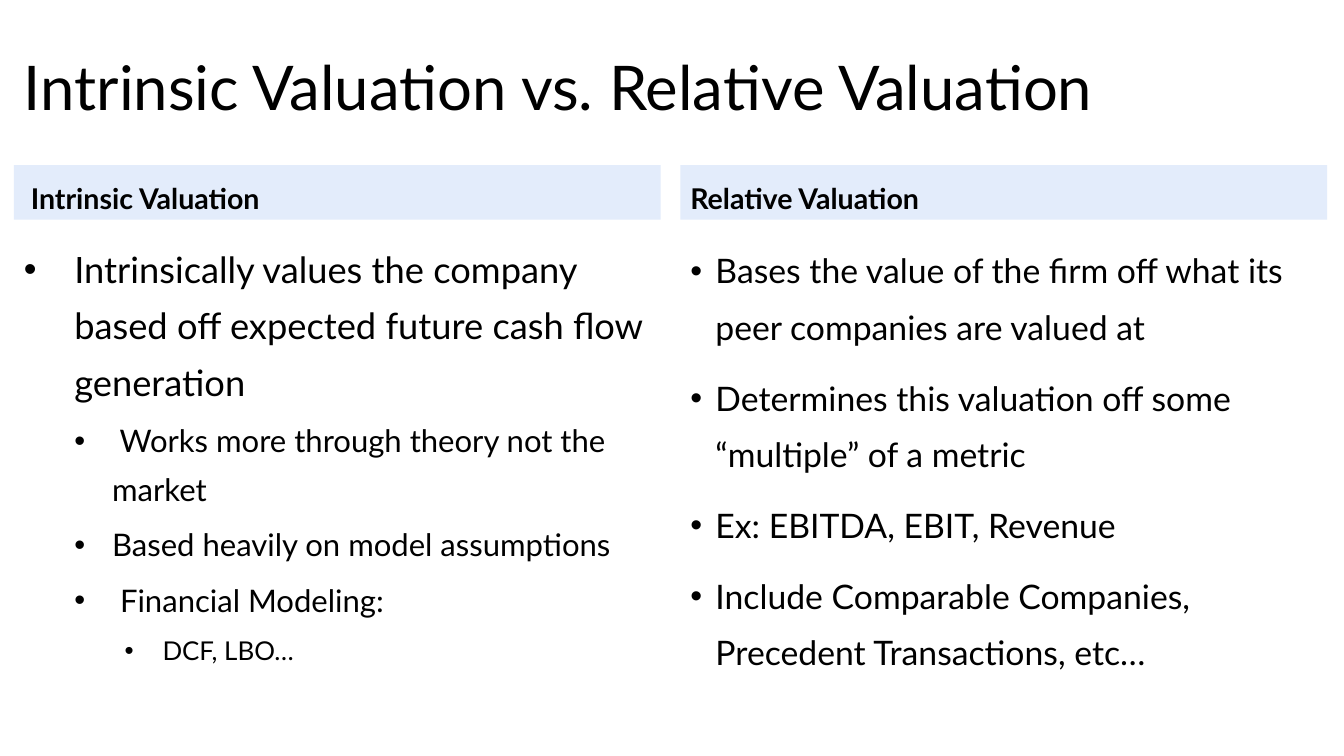
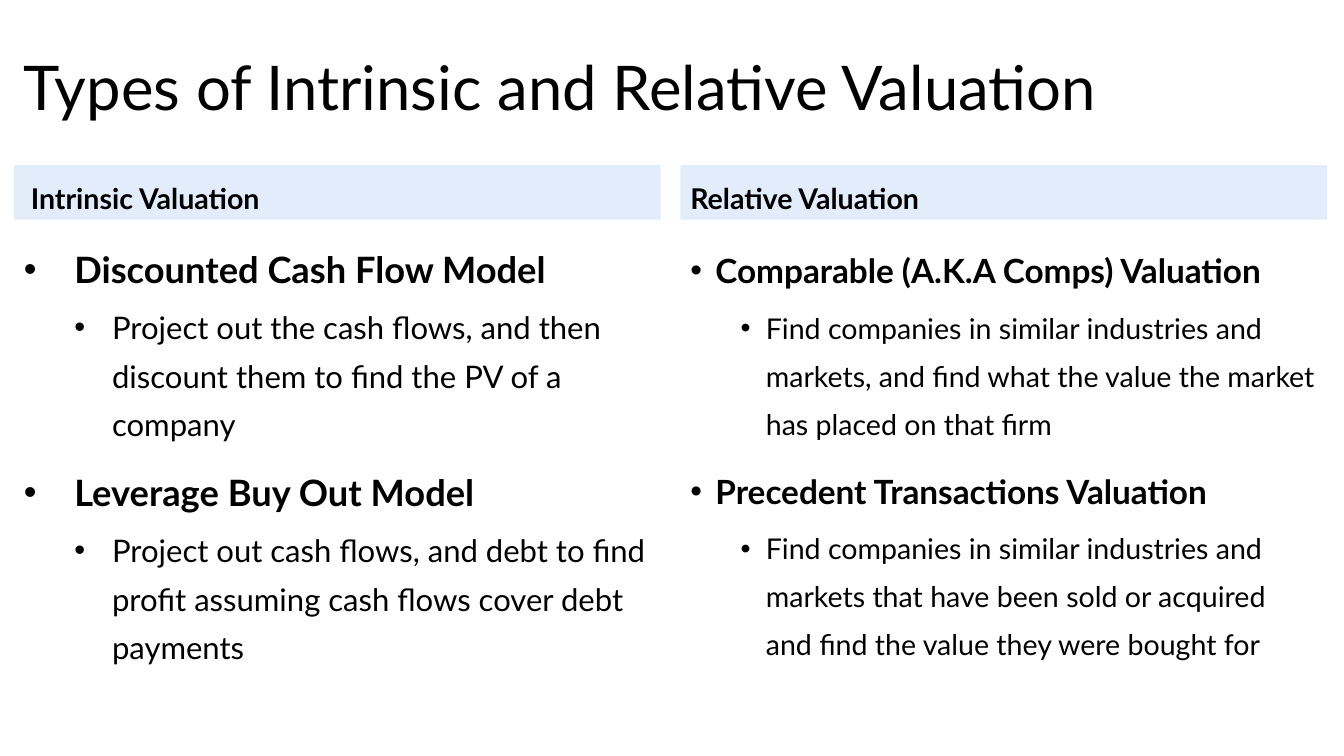
"""Build two slides that compare intrinsic and relative valuation."""
from lxml.etree import SubElement as Sub
from pptx import Presentation
from pptx.dml.color import RGBColor
from pptx.enum.shapes import MSO_SHAPE as Shape
from pptx.enum.text import MSO_ANCHOR as Anchor, PP_ALIGN as Align
from pptx.oxml.ns import qn
from pptx.util import Pt

BLACK = RGBColor(0x00, 0x00, 0x00)
WHITE = RGBColor(0xFF, 0xFF, 0xFF)
BLUE = RGBColor(0xE3, 0xEC, 0xFB)
FONT = "Lato"
LEFT, WIDTH, STEP = 10, 462, 476
HEADS = [" Intrinsic Valuation", "Relative Valuation"]
INDENTS = [[(36, 36), (63, 27), (99, 27)], [(18, 18), (54, 18)]]
LEADS = [1.3, 1.4]

SLIDES = [
    ("Intrinsic Valuation vs. Relative Valuation", False, [
        ([25.9, 22.2, 18.5], [
            (0, "Intrinsically values the company based off expected future cash flow generation"),
            (1, " Works more through theory not the market"),
            (1, "Based heavily on model assumptions"),
            (1, " Financial Modeling:"),
            (2, "DCF, LBO…")]),
        ([24.1], [
            (0, "Bases the value of the firm off what its peer companies are valued at"),
            (0, "Determines this valuation off some “multiple” of a metric"),
            (0, "Ex: EBITDA, EBIT, Revenue"),
            (0, "Include Comparable Companies, Precedent Transactions, etc…")])]),
    ("Types of Intrinsic and Relative Valuation", True, [
        ([25.9, 22.2], [
            (0, "Discounted Cash Flow Model"),
            (1, "Project out the cash flows, and then discount them to find the PV of a company"),
            (0, "Leverage Buy Out Model"),
            (1, "Project out cash flows, and debt to find profit assuming cash flows cover debt payments")]),
        ([23.8, 20.4], [
            (0, "Comparable (A.K.A Comps) Valuation"),
            (1, "Find companies in similar industries and markets, and find what the value the market "
                "has placed on that firm"),
            (0, "Precedent Transactions Valuation"),
            (1, "Find companies in similar industries and markets that have been sold or acquired "
                "and find the value they were bought for")])]),
]


def write(para, text, size, lead, bold=False):
    para.text = text
    para.alignment = Align.LEFT
    para.line_spacing = lead
    font = para.runs[0].font
    font.name, font.size, font.bold = FONT, Pt(size), bold
    font.color.rgb = BLACK


def bullet(para, margin, hang):
    props = para._p.get_or_add_pPr()
    props.set("marL", str(Pt(margin)))
    props.set("indent", str(-Pt(hang)))
    color = Sub(props, qn("a:buClr"))
    Sub(color, qn("a:srgbClr"), val=str(BLACK))
    Sub(props, qn("a:buFont"), typeface="Arial")
    Sub(props, qn("a:buChar"), char="•")


deck = Presentation()
deck.slide_width, deck.slide_height = Pt(960), Pt(540)

for title, strong, columns in SLIDES:
    slide = deck.slides.add_slide(deck.slide_layouts[6])
    slide.background.fill.solid()
    slide.background.fill.fore_color.rgb = WHITE

    frame = slide.shapes.add_textbox(Pt(LEFT), Pt(29), Pt(939), Pt(72)).text_frame
    frame.word_wrap = True
    frame.vertical_anchor = Anchor.MIDDLE
    write(frame.paragraphs[0], title, 44, 0.9)

    for col, (sizes, items) in enumerate(columns):
        x = Pt(LEFT + col * STEP)
        band = slide.shapes.add_shape(Shape.RECTANGLE, x, Pt(118), Pt(WIDTH), Pt(39))
        band.shadow.inherit = False
        band.fill.solid()
        band.fill.fore_color.rgb = BLUE
        band.line.fill.background()
        band.text_frame.vertical_anchor = Anchor.BOTTOM
        write(band.text_frame.paragraphs[0], HEADS[col], 20.4, 1.4, True)

        frame = slide.shapes.add_textbox(x, Pt(163.5), Pt(WIDTH), Pt(324)).text_frame
        frame.word_wrap = True
        for row, (level, text) in enumerate(items):
            para = frame.add_paragraph() if row else frame.paragraphs[0]
            write(para, text, sizes[level], LEADS[col], strong and level == 0)
            para.level = level
            if row:
                para.space_before = Pt(5 if level else 10)
            bullet(para, *INDENTS[col][level])

deck.save("out.pptx")
